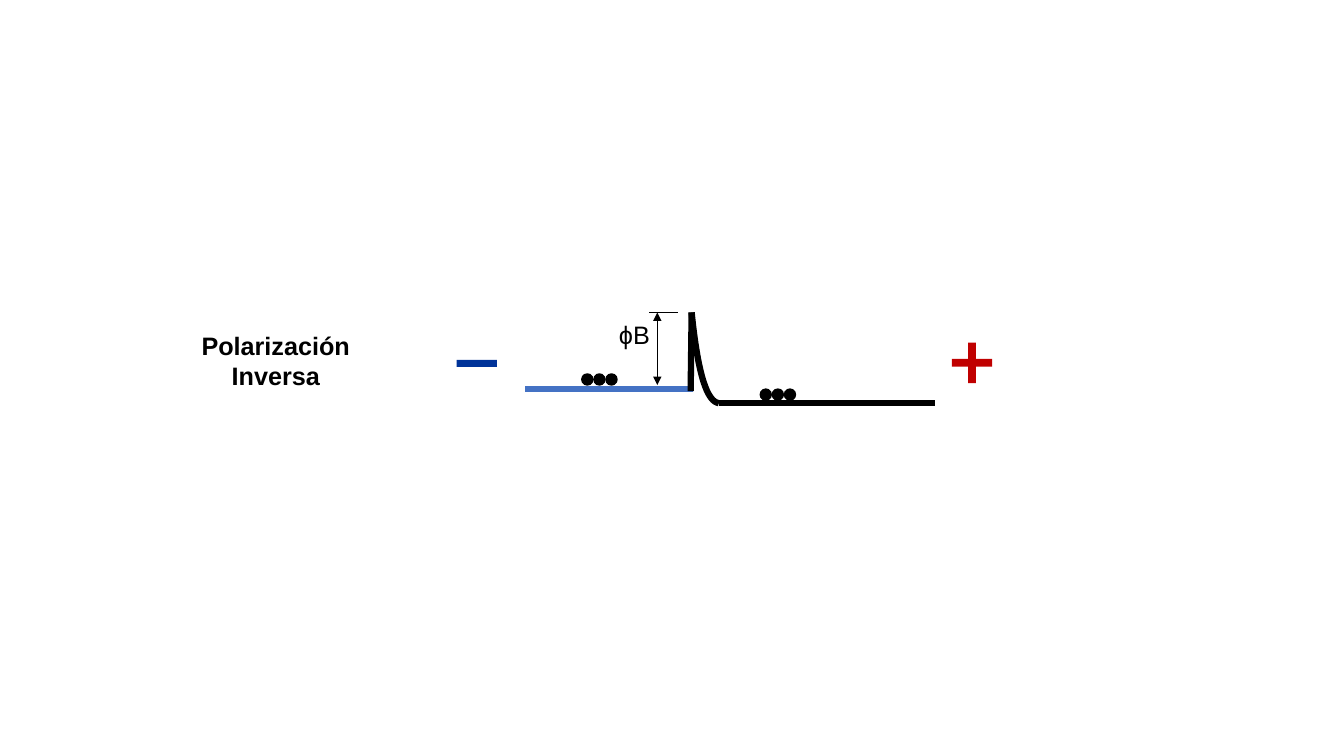
import pptx
import pptx.util
import pptx.dml.color
import pptx.enum.shapes
import pptx.enum.text
import pptx.oxml.ns
import lxml.etree

SHAPE = pptx.enum.shapes.MSO_SHAPE
ALIGN = pptx.enum.text.PP_ALIGN
RGB = pptx.dml.color.RGBColor.from_string

theme = {
    "font": "Arial", "size": 18,
    "ink": RGB("000000"), "metal": RGB("4472C4"),
    "positive": RGB("C00000"), "negative": RGB("003399"),
    "band": 4.5, "thin": 0.5, "outline": 1,
}

prs = pptx.Presentation()
prs.slide_width = pptx.util.Inches(13.33)
prs.slide_height = pptx.util.Inches(7.5)
slide = prs.slides.add_slide(prs.slide_layouts[6])
col = prs.slide_width / 13.33
row = prs.slide_height / 7.5


def grid(*lengths):
    return [round(n * (row if i % 2 else col)) for i, n in enumerate(lengths)]


def add_line(x1, y1, x2, y2, color, width):
    straight = pptx.enum.shapes.MSO_CONNECTOR.STRAIGHT
    line = slide.shapes.add_connector(straight, *grid(x1, y1, x2, y2))
    line.line.color.rgb = color
    line.line.width = pptx.util.Pt(width)
    lxml.etree.SubElement(line._element.spPr, pptx.oxml.ns.qn("a:effectLst"))
    return line


peak_x, peak_y = 6.86, 3.1
foot_x, foot_y = 7.13, 4
metal_y = 3.86

add_line(foot_x, foot_y, 9.27, foot_y, theme["ink"], theme["band"])
add_line(5.21, metal_y, 6.87, metal_y, theme["metal"], theme["band"])

bezier = [(foot_x, foot_y), (6.97, 3.98), (6.9, 3.48), (peak_x, peak_y)]
steps = 24
points = []
for i in range(steps + 1):
    t = i / steps
    weights = [(1 - t) ** 3, 3 * t * (1 - t) ** 2, 3 * t ** 2 * (1 - t), t ** 3]
    points.append(grid(*[sum(w * c for w, c in zip(weights, axis)) for axis in zip(*bezier)]))
fb = slide.shapes.build_freeform(*points[0])
fb.add_line_segments(points[1:], close=False)
barrier = fb.convert_to_shape()
barrier.shadow.inherit = False
barrier.fill.background()
barrier.line.color.rgb = theme["ink"]
barrier.line.width = pptx.util.Pt(theme["band"])
add_line(peak_x, peak_y, 6.85, 3.88, theme["ink"], theme["band"])

dot, pitch = 0.11, 0.12
electrons = [(SHAPE.OVAL, x + i * pitch, y, dot, dot, theme["ink"], theme["outline"])
             for x, y in [(5.77, 3.71), (7.54, 3.86)] for i in range(3)]
signs = [(SHAPE.CROSS, 9.44, 3.4, 0.4, 0.4, theme["positive"], 0),
         (SHAPE.RECTANGLE, 4.53, 3.57, 0.4, 0.07, theme["negative"], 0)]
for kind, x, y, w, h, color, outline in electrons + signs:
    sp = slide.shapes.add_shape(kind, *grid(x, y, w, h))
    sp.shadow.inherit = False
    sp.fill.solid()
    sp.fill.fore_color.rgb = color
    if outline:
        sp.line.color.rgb = color
        sp.line.width = pptx.util.Pt(outline)
    else:
        sp.line.fill.background()
    if kind == SHAPE.CROSS:
        sp.adjustments[0] = 0.404

add_line(6.72, peak_y, 6.44, peak_y, theme["ink"], theme["thin"])
height = add_line(6.52, peak_y, 6.52, 3.82, theme["ink"], theme["thin"])
for end in ("a:headEnd", "a:tailEnd"):
    lxml.etree.SubElement(height.line._get_or_add_ln(), pptx.oxml.ns.qn(end), type="triangle")

labels = [
    ("ϕB", 6.04, 3.12, 0.51, 0.4, ALIGN.LEFT, False),
    ("Polarización\nInversa", 1.89, 3.23, 1.69, 0.71, ALIGN.CENTER, True),
]
for text, x, y, w, h, align, bold in labels:
    tf = slide.shapes.add_textbox(*grid(x, y, w, h)).text_frame
    tf.word_wrap = False
    tf.auto_size = pptx.enum.text.MSO_AUTO_SIZE.SHAPE_TO_FIT_TEXT
    tf.text = text
    for p in tf.paragraphs:
        p.alignment = align
        for r in p.runs:
            r.font.name = theme["font"]
            r.font.size = pptx.util.Pt(theme["size"])
            r.font.bold = bold
            r.font.color.rgb = theme["ink"]

prs.save("out.pptx")
